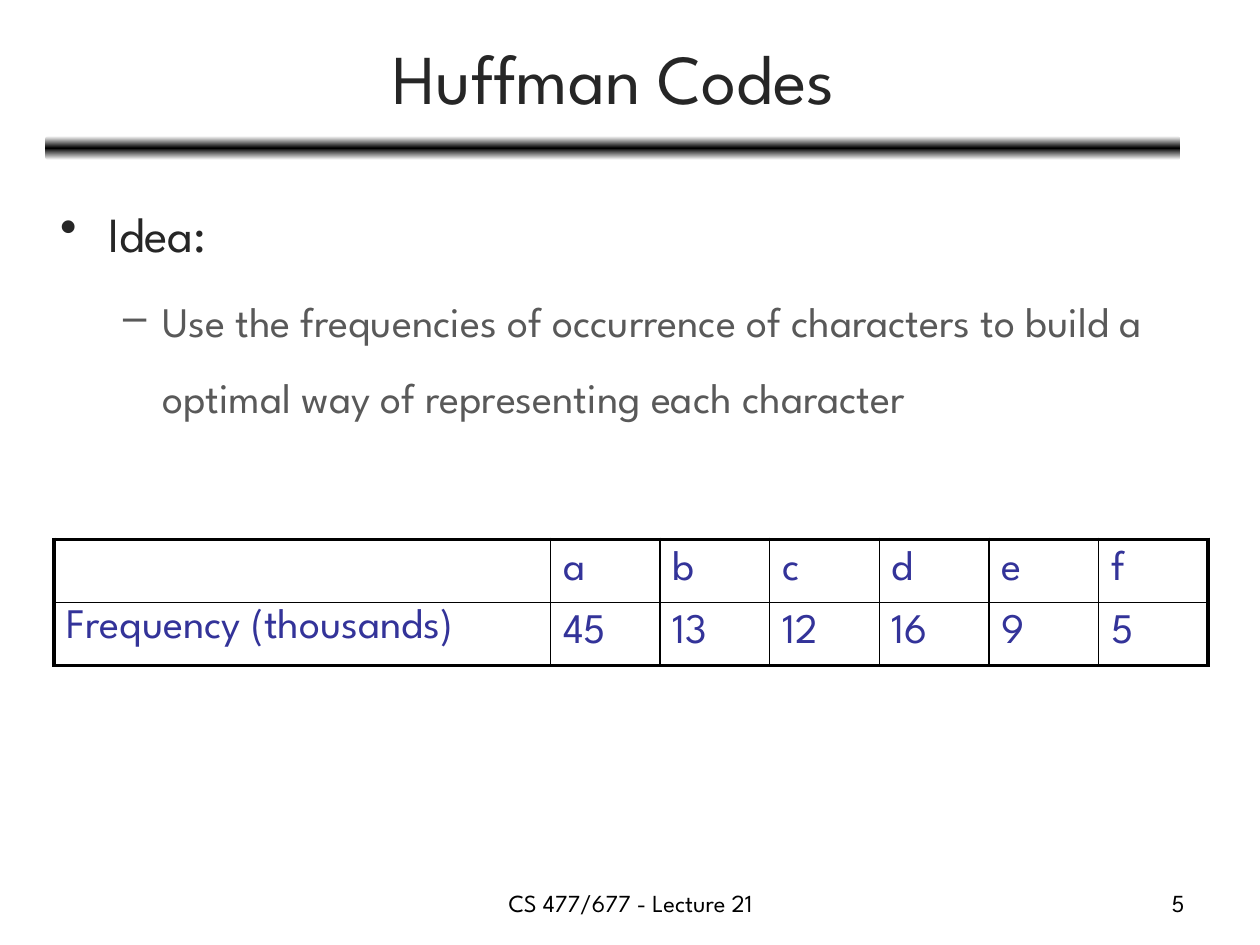
"""Build the Huffman Codes slide with its idea and character frequency table."""
from copy import deepcopy

from lxml.etree import SubElement
from pptx import Presentation
from pptx.dml.color import RGBColor
from pptx.enum.shapes import MSO_SHAPE
from pptx.enum.text import MSO_ANCHOR as ANCHOR, MSO_AUTO_SIZE, PP_ALIGN as ALIGN
from pptx.oxml.ns import qn
from pptx.util import Inches, Pt

BLACK = RGBColor(0x00, 0x00, 0x00)
WHITE = RGBColor(0xFF, 0xFF, 0xFF)
DARK = RGBColor(0x26, 0x26, 0x26)
GRAY = RGBColor(0x59, 0x59, 0x59)
INDIGO = RGBColor(0x33, 0x33, 0x99)


def style(paragraph, size, color, align=ALIGN.LEFT):
    paragraph.alignment = align
    font = paragraph.font
    font.name, font.size, font.color.rgb = "League Spartan", Pt(size), color


def add_border(cell, side, width):
    line = SubElement(cell._tc.get_or_add_tcPr(), qn(f"a:ln{side}"), w=str(Pt(width)))
    SubElement(SubElement(line, qn("a:solidFill")), qn("a:srgbClr"), val=str(BLACK))


prs = Presentation()
prs.slide_width, prs.slide_height = Inches(10), Inches(7.5)
slide = prs.slides.add_slide(prs.slide_layouts[5])

title = slide.shapes.title
title.left, title.top, title.width, title.height = map(Inches, (0.37, 0.11, 9, 0.99))
title.text_frame.text = "Huffman Codes"
title.text_frame.auto_size = MSO_AUTO_SIZE.NONE
title.text_frame.vertical_anchor = ANCHOR.MIDDLE
style(title.text_frame.paragraphs[0], 40, DARK, ALIGN.CENTER)

divider = slide.shapes.add_shape(
    MSO_SHAPE.ROUNDED_RECTANGLE, Inches(0.36), Inches(1.08), Inches(9.01), Inches(0.19))
divider.shadow.inherit = False
divider.line.fill.background()
divider.fill.gradient()
divider.fill.gradient_angle = 90
stop_list = divider._element.spPr.find(qn("a:gradFill")).find(qn("a:gsLst"))
stop_list.append(deepcopy(stop_list[0]))
for stop, position, color in zip(divider.fill.gradient_stops, (0, 0.5, 1), (WHITE, BLACK, WHITE)):
    stop.position, stop.color.rgb = position, color

body = slide.shapes.add_textbox(Inches(0.38), Inches(1.33), Inches(9), Inches(5.55)).text_frame
body.word_wrap = True
points = [
    ("Idea:", 0, "•", 0.38, 0.38, 28, DARK, 0),
    ("Use the frequencies of occurrence of characters to build a optimal way of "
     "representing each character", 1, "–", 0.81, 0.31, 24, GRAY, 5),
]
for i, (text, level, bullet, margin, hang, size, color, before) in enumerate(points):
    point = body.add_paragraph() if i else body.paragraphs[0]
    point.text, point.level = text, level
    point.line_spacing, point.space_before = 1.5, Pt(before)
    props = point._p.get_or_add_pPr()
    props.set("marL", str(Inches(margin)))
    props.set("indent", str(-Inches(hang)))
    SubElement(props, qn("a:buChar"), char=bullet)
    style(point, size, color)

rows = [
    ["", "a", "b", "c", "d", "e", "f"],
    ["Frequency (thousands)", "45", "13", "12", "16", "9", "5"],
]
last_row, last_col = len(rows) - 1, len(rows[0]) - 1
frequencies = slide.shapes.add_table(
    len(rows), len(rows[0]), Inches(0.43), Inches(4.28), Inches(9.16), Inches(0.9)).table
for c, column in enumerate(frequencies.columns):
    column.width = Inches(0.87 if c else 3.94)
for r, values in enumerate(rows):
    frequencies.rows[r].height = Inches(0.45)
    for c, value in enumerate(values):
        cell = frequencies.cell(r, c)
        cell.text = value
        cell.vertical_anchor = ANCHOR.MIDDLE if c else ANCHOR.TOP
        style(cell.text_frame.paragraphs[0], 24, INDIGO)
        outer_sides = {"L": c == 0, "R": c == last_col, "T": r == 0, "B": r == last_row}
        for side, outer in outer_sides.items():
            add_border(cell, side, 2.25 if outer else 1)
        cell.fill.background()

for text, left, width, align in [
    ("CS 477/677 - Lecture 21", 3.42, 3.17, ALIGN.CENTER),
    ("5", 7.17, 2.33, ALIGN.RIGHT),
]:
    footer = slide.shapes.add_textbox(Inches(left), Inches(7), Inches(width), Inches(0.35)).text_frame
    footer.word_wrap = True
    footer.text = text
    style(footer.paragraphs[0], 14, BLACK, align)

prs.save("out.pptx")
